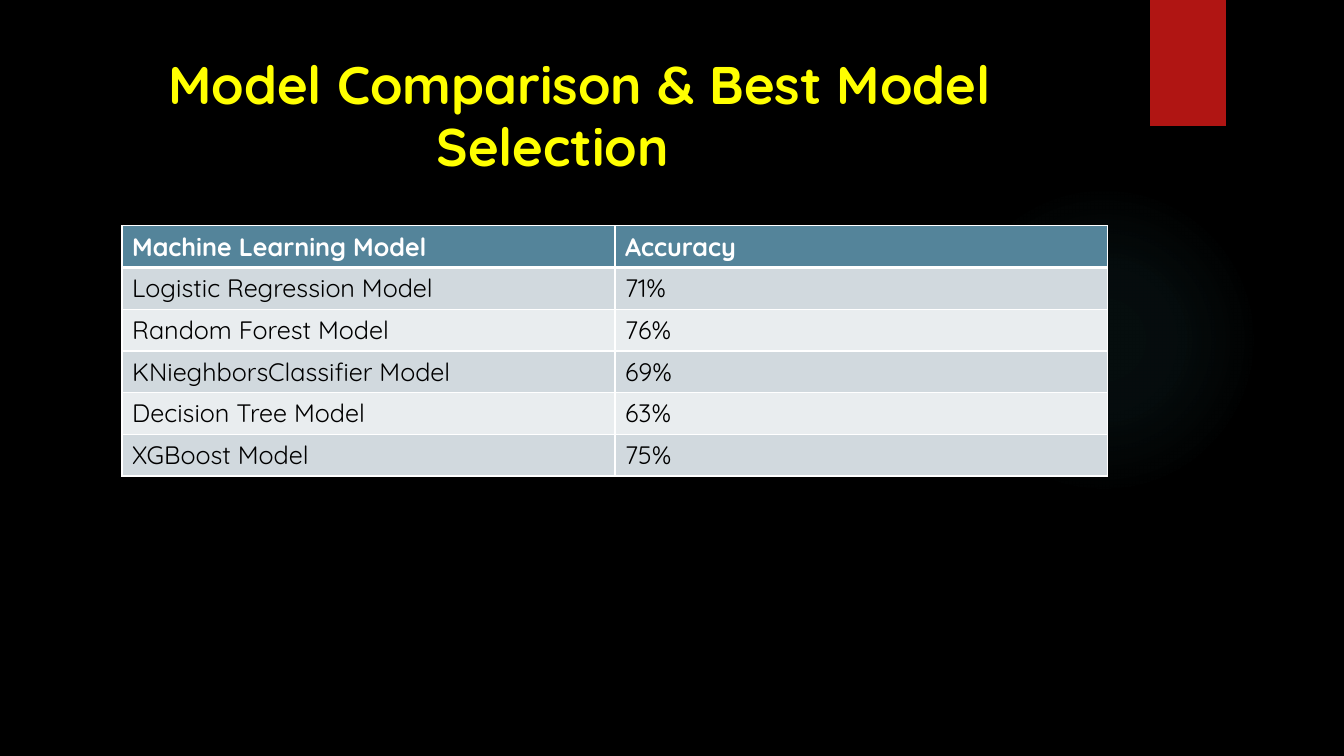
"""Build the model comparison slide with its accuracy table."""
from dataclasses import dataclass

from lxml import etree
from pptx import Presentation
from pptx.dml.color import RGBColor
from pptx.enum.shapes import MSO_SHAPE
from pptx.enum.text import MSO_ANCHOR, MSO_AUTO_SIZE, PP_ALIGN
from pptx.oxml import parse_xml
from pptx.oxml.ns import nsdecls, qn
from pptx.util import Emu, Inches, Pt

ELLIPSE, RECT = MSO_SHAPE.OVAL, MSO_SHAPE.RECTANGLE
TOP, LEFT, NO_FIT = MSO_ANCHOR.TOP, PP_ALIGN.LEFT, MSO_AUTO_SIZE.NONE
WIDTH, HEIGHT = Inches(13.333), Inches(7.5)
FONT = "Quicksand"
COLORS = {
    "back": "000000", "glow": "50B9C1", "ribbon": "B01513", "title": "FFFF00",
    "head": "54849A", "odd": "D1D9DE", "even": "E9EDEF",
    "light": "FFFFFF", "dark": "000000",
}
GLOW_STOPS = ((0, 7), (36, 6), (69, 0))


@dataclass(frozen=True)
class Box:
    """Position and size in percent of the slide."""
    x: float
    y: float
    w: float
    h: float

    def emu(self) -> tuple[Emu, Emu, Emu, Emu]:
        """Return left, top, width and height."""
        return (Emu(round(WIDTH * self.x / 100)), Emu(round(HEIGHT * self.y / 100)),
                Emu(round(WIDTH * self.w / 100)), Emu(round(HEIGHT * self.h / 100)))


@dataclass(frozen=True)
class TitleLine:
    """One title line and its left indent in percent of the slide width."""
    text: str
    indent: float


@dataclass(frozen=True)
class ModelRow:
    """One table row."""
    model: str
    accuracy: str


GLOW = Box(70.58, 24.4, 23.1, 41.07)
RIBBON = Box(85.58, 0, 5.63, 16.67)
TITLE = Box(5.33, 6.67, 77.18, 20.4)
TABLE = Box(9.08, 29.87, 73.35, 33.1)
TITLE_LINES = (
    TitleLine("Model Comparison & Best Model", 6.45),
    TitleLine("Selection", 26.4),
)
ROWS = (
    ModelRow("Machine Learning Model", "Accuracy"),
    ModelRow("Logistic Regression Model", "71%"),
    ModelRow("Random Forest Model", "76%"),
    ModelRow("KNieghborsClassifier Model", "69%"),
    ModelRow("Decision Tree Model", "63%"),
    ModelRow("XGBoost Model", "75%"),
)


def rgb(name: str) -> RGBColor:
    """Return a named colour."""
    return RGBColor.from_string(COLORS[name])


def add_run(p, text: str, size: float, color: str, bold: bool) -> None:
    """Add a formatted run to a paragraph."""
    r = p.add_run()
    r.text = text
    for key, value in {"name": FONT, "size": Pt(size), "bold": bold}.items():
        setattr(r.font, key, value)
    r.font.color.rgb = rgb(color)


def add_plain(s, kind, box: Box, color: str):
    """Add a shape with a solid fill and no line."""
    sp = s.shapes.add_shape(kind, *box.emu())
    sp.shadow.inherit = False
    sp.fill.solid()
    sp.fill.fore_color.rgb = rgb(color)
    sp.line.fill.background()
    return sp


def add_glow(s) -> None:
    """Add the faint radial glow."""
    sp = add_plain(s, ELLIPSE, GLOW, "glow")
    stops = "".join(
        f'<a:gs pos="{pos * 1000}"><a:srgbClr val="{COLORS["glow"]}">'
        f'<a:alpha val="{alpha * 1000}"/></a:srgbClr></a:gs>'
        for pos, alpha in GLOW_STOPS)
    grad = parse_xml(
        f'<a:gradFill {nsdecls("a")}><a:gsLst>{stops}</a:gsLst><a:path path="circle">'
        '<a:fillToRect l="50000" t="50000" r="50000" b="50000"/></a:path></a:gradFill>')
    solid = sp.element.spPr.find(qn("a:solidFill"))
    solid.getparent().replace(solid, grad)


def add_ribbon(s) -> None:
    """Add the red ribbon with its soft shadow."""
    sp = add_plain(s, RECT, RIBBON, "ribbon")
    effects = sp.element.spPr.find(qn("a:effectLst"))
    effects.append(parse_xml(
        f'<a:outerShdw {nsdecls("a")} blurRad="{Pt(3)}" dist="{Pt(2)}" dir="5400000">'
        '<a:srgbClr val="000000"><a:alpha val="45000"/></a:srgbClr></a:outerShdw>'))


def fill_title(s) -> None:
    """Place and write the title."""
    sp = s.shapes.title
    s.shapes.element.append(sp.element)
    sp.left, sp.top, sp.width, sp.height = TITLE.emu()
    tf = sp.text_frame
    frame = {"word_wrap": True, "auto_size": NO_FIT, "vertical_anchor": TOP}
    for key, value in frame.items():
        setattr(tf, key, value)
    for i, line in enumerate(TITLE_LINES):
        p = tf.add_paragraph() if i else tf.paragraphs[0]
        layout = {"alignment": LEFT, "line_spacing": 0.97,
                  "space_before": Pt(0), "space_after": Pt(0)}
        for key, value in layout.items():
            setattr(p, key, value)
        pPr = p._p.get_or_add_pPr()
        pPr.set("marL", str(round(WIDTH * line.indent / 100)))
        pPr.set("indent", "0")
        add_run(p, line.text, 37.8, "title", True)


def set_borders(cell, top: float, bottom: float) -> None:
    """Draw white borders on a cell."""
    tcPr = cell._tc.get_or_add_tcPr()
    for side, width in {"L": 1, "R": 1, "T": top, "B": bottom}.items():
        ln = etree.SubElement(tcPr, qn(f"a:ln{side}"), w=str(Pt(width)))
        solid = etree.SubElement(ln, qn("a:solidFill"))
        etree.SubElement(solid, qn("a:srgbClr"), val=COLORS["light"])


def add_models(s) -> None:
    """Add the accuracy table."""
    tbl = s.shapes.add_table(len(ROWS), 2, *TABLE.emu()).table
    for i, row in enumerate(ROWS):
        head = i == 0
        fill = "head" if head else ("odd" if i % 2 else "even")
        for j, text in enumerate((row.model, row.accuracy)):
            cell = tbl.cell(i, j)
            set_borders(cell, 3 if i == 1 else 1, 3 if head else 1)
            cell.fill.solid()
            cell.fill.fore_color.rgb = rgb(fill)
            add_run(cell.text_frame.paragraphs[0], text, 18,
                    "light" if head else "dark", head)


def main() -> None:
    """Build and save the slide."""
    prs = Presentation()
    prs.slide_width, prs.slide_height = WIDTH, HEIGHT
    s = prs.slides.add_slide(prs.slide_layouts[5])
    s.background.fill.solid()
    s.background.fill.fore_color.rgb = rgb("back")
    add_glow(s)
    add_ribbon(s)
    fill_title(s)
    add_models(s)
    prs.save("out.pptx")


if __name__ == "__main__":
    main()
